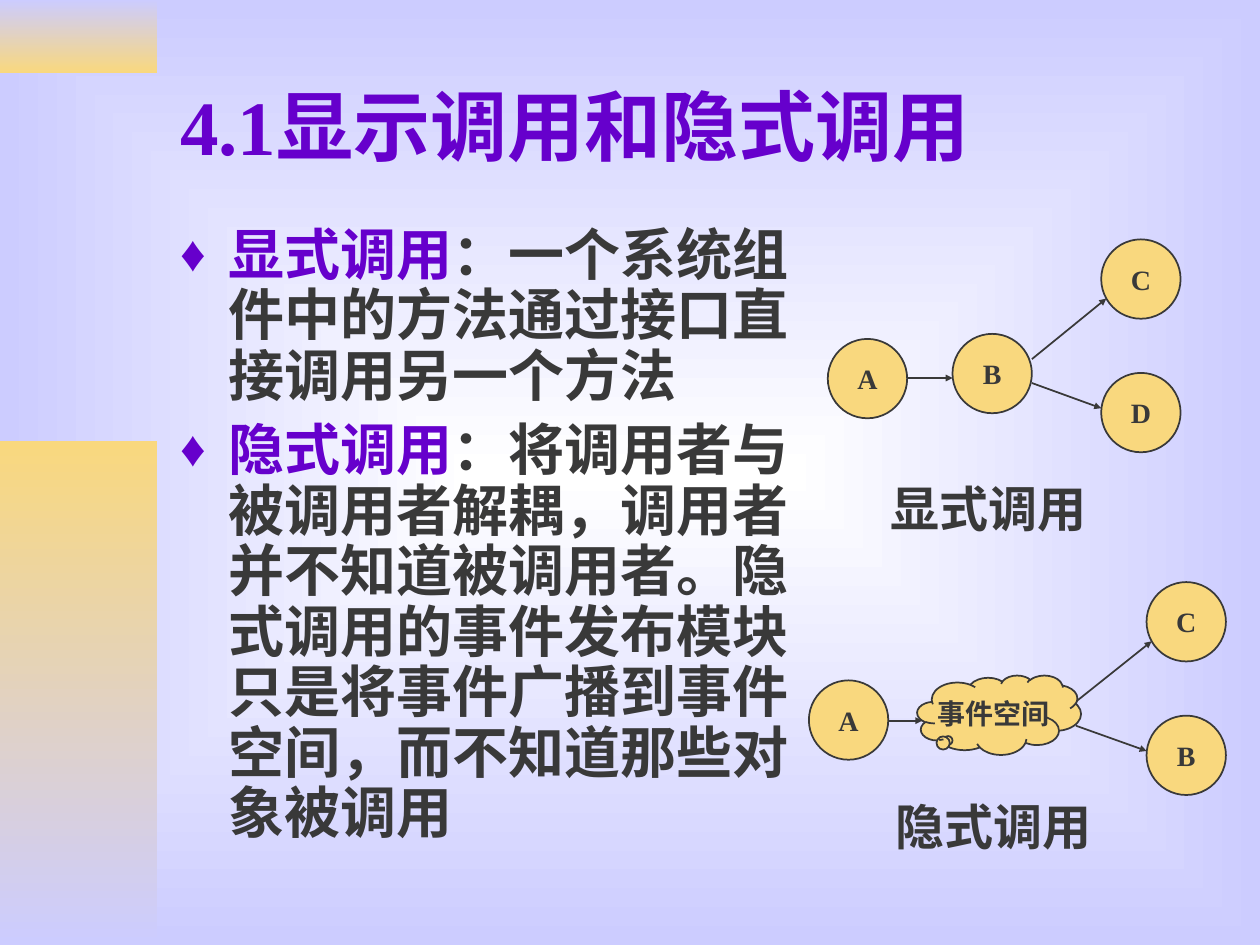
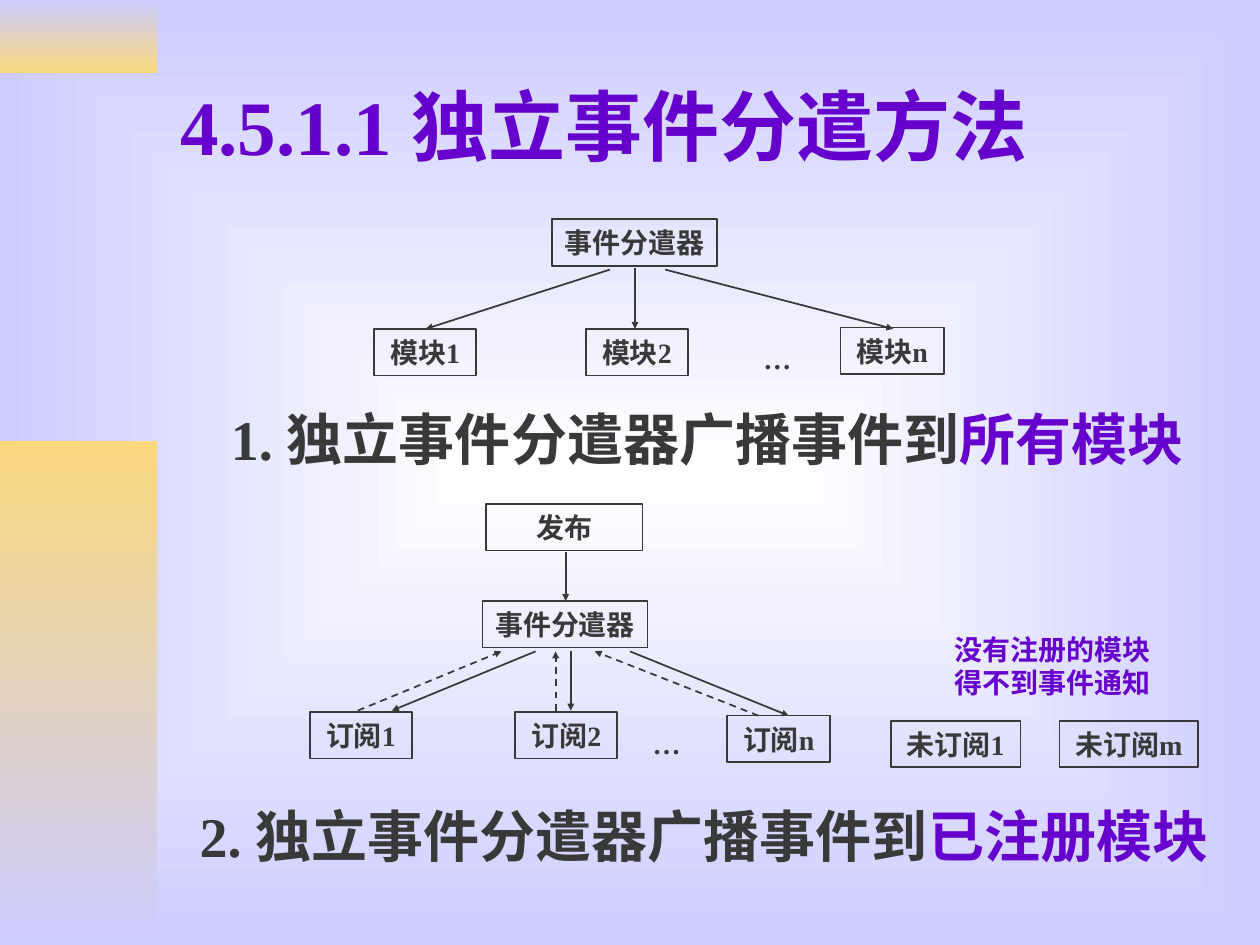
"""Build two slides on explicit, implicit and dispatched event calls."""
from typing import NamedTuple

from lxml import etree
from pptx import Presentation
from pptx.dml.color import RGBColor
from pptx.enum.dml import MSO_LINE
from pptx.enum.lang import MSO_LANGUAGE_ID
from pptx.enum.shapes import MSO_CONNECTOR, MSO_SHAPE
from pptx.enum.text import MSO_ANCHOR, MSO_AUTO_SIZE, PP_ALIGN
from pptx.oxml.ns import qn
from pptx.util import Inches, Pt

RECT, OVAL, CLOUD = MSO_SHAPE.RECTANGLE, MSO_SHAPE.OVAL, MSO_SHAPE.CLOUD_CALLOUT
LEFT, CENTER = PP_ALIGN.LEFT, PP_ALIGN.CENTER
TOP, MIDDLE = MSO_ANCHOR.TOP, MSO_ANCHOR.MIDDLE
STRAIGHT, DASH = MSO_CONNECTOR.STRAIGHT, MSO_LINE.DASH
FIXED, CHINESE = MSO_AUTO_SIZE.NONE, MSO_LANGUAGE_ID.SIMPLIFIED_CHINESE
FONT = "Times New Roman"
COLORS = {"ink": "393939", "key": "6600CC", "gold": "F9D87E", "pale": "CCCCFF", "white": "FFFFFF"}
DISC, ROW = 0.63, 0.37


class Box(NamedTuple):
    left: float
    top: float
    width: float
    height: float


class Part(NamedTuple):
    text: str
    color: str = "ink"


class Node(NamedTuple):
    text: str
    box: Box
    kind: int = RECT
    fill: str = ""


class Note(NamedTuple):
    lines: tuple[str, ...]
    box: Box
    size: int = 16
    color: str = "ink"
    align: int = CENTER


class Arrow(NamedTuple):
    start: tuple[float, float]
    end: tuple[float, float]
    dashed: bool = False


class Band(NamedTuple):
    box: Box
    upper: str
    lower: str


BANDS = (Band(Box(0, 0, 1.25, 0.58), "pale", "gold"), Band(Box(0, 3.5, 1.25, 4), "gold", "pale"))


def rgb(name: str) -> RGBColor:
    """Look up a named colour."""
    return RGBColor.from_string(COLORS[name])


def area(box: Box) -> list:
    """Give a box in slide units."""
    return [Inches(side) for side in box]


def place(shape, box: Box) -> None:
    """Move a shape to a box."""
    shape.left, shape.top, shape.width, shape.height = area(box)


def frame(shape, wrap: bool, anchor=TOP):
    """Set up the text frame of a shape."""
    text = shape.text_frame
    text.auto_size, text.word_wrap, text.vertical_anchor = FIXED, wrap, anchor
    text.margin_left = text.margin_right = Inches(0.1)
    text.margin_top = text.margin_bottom = Inches(0.05)
    return text


def write(par, parts: list[Part], size: int, align=LEFT, before: float = 0) -> None:
    """Write coloured parts into a paragraph."""
    par.alignment, par.space_before = align, Pt(before)
    for part in parts:
        run = par.add_run()
        run.text = part.text
        font = run.font
        font.name, font.size, font.bold = FONT, Pt(size), True
        font.color.rgb, font.language_id = rgb(part.color), CHINESE


def blend(fill, first: str, last: str) -> None:
    """Fill with a gradient between two colours."""
    fill.gradient()
    for stop, name in zip(fill.gradient_stops, (first, last)):
        stop.color.rgb = rgb(name)
    for stop, spot in zip(fill.gradient_stops, (0, 1)):
        stop.position = spot


def glow(master) -> None:
    """Give the master a glow from its centre."""
    blend(master.background.fill, "white", "pale")
    grad = master.element.find(".//" + qn("a:gradFill"))
    grad.remove(grad.find(qn("a:lin")))
    route = etree.SubElement(grad, qn("a:path"), path="rect")
    etree.SubElement(route, qn("a:fillToRect"), l="50000", t="50000", r="50000", b="50000")


def add_bands(slide) -> None:
    """Put the side bands on the layout of a slide."""
    tree = slide.slide_layout.shapes.element
    for count, band in enumerate(BANDS):
        shape = slide.shapes.add_shape(RECT, *area(band.box))
        shape.shadow.inherit = False
        shape.line.fill.background()
        blend(shape.fill, band.upper, band.lower)
        shape.fill.gradient_angle = 270
        shape.element.find(".//" + qn("p:cNvPr")).set("id", str(20 + count))
        tree.insert(2 + count, shape.element)


def add_page(deck, title: str):
    """Add a titled slide."""
    slide = deck.slides.add_slide(deck.slide_layouts[1])
    place(slide.shapes.title, Box(1.33, 0.33, 8.5, 1.32))
    text = frame(slide.shapes.title, True, MIDDLE)
    write(text.paragraphs[0], [Part(title, "key")], 44)
    return slide


def add_node(slide, node: Node) -> None:
    """Draw a labelled shape."""
    shape = slide.shapes.add_shape(node.kind, *area(node.box))
    shape.shadow.inherit = False
    shape.line.color.rgb, shape.line.width = rgb("ink"), Pt(1)
    if node.fill:
        shape.fill.solid()
        shape.fill.fore_color.rgb = rgb(node.fill)
    else:
        shape.fill.background()
    if node.kind == CLOUD:
        shape.adjustments[0], shape.adjustments[1] = -0.305, 0.315
    text = frame(shape, False, MIDDLE)
    write(text.paragraphs[0], [Part(node.text)], 16, CENTER)


def add_note(slide, note: Note) -> None:
    """Draw plain text lines."""
    text = frame(slide.shapes.add_textbox(*area(note.box)), note.align == LEFT)
    for count, line in enumerate(note.lines):
        par = text.add_paragraph() if count else text.paragraphs[0]
        write(par, [Part(line, note.color)], note.size, note.align)


def add_arrow(slide, arrow: Arrow) -> None:
    """Draw a line with a small head."""
    ends = [Inches(spot) for spot in arrow.start + arrow.end]
    link = slide.shapes.add_connector(STRAIGHT, *ends)
    link.line.color.rgb, link.line.width = rgb("ink"), Pt(1)
    if arrow.dashed:
        link.line.dash_style = DASH
    props = link.element.find(qn("p:spPr"))
    etree.SubElement(props.find(qn("a:ln")), qn("a:tailEnd"), type="triangle", w="sm", len="sm")
    etree.SubElement(props, qn("a:effectLst"))


def add_all(slide, nodes: list[Node], arrows: list[Arrow], notes: list[Note]) -> None:
    """Draw the parts of a diagram."""
    for node in nodes:
        add_node(slide, node)
    for arrow in arrows:
        add_arrow(slide, arrow)
    for note in notes:
        add_note(slide, note)


def set_list(par, bullet: str = "") -> None:
    """Set the bullet and indent of a paragraph."""
    props = par._p.get_or_add_pPr()
    indent = Inches(0.38) if bullet else 0
    props.set("marL", str(indent))
    props.set("indent", str(-indent))
    if bullet:
        color = etree.SubElement(props, qn("a:buClr"))
        etree.SubElement(color, qn("a:srgbClr"), val=COLORS["key"])
        etree.SubElement(props, qn("a:buSzPct"), val="90000")
        etree.SubElement(props, qn("a:buChar"), char=bullet)
    else:
        etree.SubElement(props, qn("a:buNone"))


def add_head(shape, box: Box, parts: list[Part]) -> None:
    """Write a centred summary line."""
    place(shape, box)
    par = frame(shape, True).paragraphs[0]
    set_list(par)
    write(par, parts, 32, CENTER)


def disc(text: str, left: float, top: float) -> Node:
    """Describe a gold circle."""
    return Node(text, Box(left, top, DISC, DISC), OVAL, "gold")


def call_page(deck):
    """Build the slide on explicit and implicit calls."""
    slide = add_page(deck, "4.1显示调用和隐式调用")
    body = slide.placeholders[1]
    place(body, Box(1.33, 1.75, 5.24, 5.35))
    text = frame(body, True)
    items = (
        ("显式调用", "：一个系统组件中的方法通过接口直接调用另一个方法"),
        ("隐式调用", "：将调用者与被调用者解耦，调用者并不知道被调用者。隐式调用的事件发布模块"
                 "只是将事件广播到事件空间，而不知道那些对象被调用"),
    )
    for count, (term, sense) in enumerate(items):
        par = text.add_paragraph() if count else text.paragraphs[0]
        par.line_spacing = 0.9
        set_list(par, "♦")
        write(par, [Part(term, "key"), Part(sense)], 32, before=8 * count)
    nodes = [
        disc("A", 6.57, 2.69), disc("B", 7.56, 2.65), disc("C", 8.74, 1.9), disc("D", 8.74, 2.96),
        disc("A", 6.42, 5.4), disc("C", 9.1, 4.62), disc("B", 9.1, 5.68),
        Node("事件空间", Box(7.28, 5.36, 1.3, DISC), CLOUD, "gold"),
    ]
    arrows = [
        Arrow((7.2, 3), (7.56, 3)), Arrow((8.19, 2.85), (8.78, 2.37)),
        Arrow((8.19, 3.04), (8.74, 3.24)), Arrow((7.05, 5.72), (7.32, 5.72)),
        Arrow((8.55, 5.56), (9.14, 5.09)), Arrow((8.54, 5.76), (9.1, 5.96)),
    ]
    notes = [
        Note(("显式调用",), Box(6.97, 3.75, 2.05, 0.57), 28, align=LEFT),
        Note(("隐式调用",), Box(7.01, 6.27, 2.05, 0.57), 28, align=LEFT),
    ]
    add_all(slide, nodes, arrows, notes)
    return slide


def event_page(deck) -> None:
    """Build the slide on the event dispatcher."""
    slide = add_page(deck, "4.5.1.1 独立事件分遣方法")
    lead = "独立事件分遣器广播事件到"
    add_head(slide.placeholders[1], Box(1.5, 3.16, 8.23, 0.66),
             [Part("1. " + lead), Part("所有模块", "key")])
    low = Box(1.34, 6.31, 8.5, 0.66)
    add_head(slide.shapes.add_textbox(*area(low)), low,
             [Part("2. " + lead), Part("已注册模块", "key")])
    labels = (
        ("事件分遣器", 4.38, 1.74, 1.31), ("模块1", 2.97, 2.61, 0.81), ("模块2", 4.65, 2.61, 0.81),
        ("模块n", 6.67, 2.6, 0.82), ("发布", 3.86, 4, 1.24), ("事件分遣器", 3.83, 4.77, 1.31),
        ("订阅1", 2.46, 5.65, 0.81), ("订阅2", 4.09, 5.65, 0.81), ("订阅n", 5.77, 5.68, 0.82),
        ("未订阅1", 7.07, 5.72, 1.03), ("未订阅m", 8.41, 5.72, 1.1),
    )
    nodes = [Node(text, Box(left, top, width, ROW)) for text, left, top, width in labels]
    arrows = [
        Arrow((4.84, 2.14), (3.38, 2.61)), Arrow((5.04, 2.13), (5.04, 2.61)),
        Arrow((5.28, 2.14), (7.09, 2.61)), Arrow((4.49, 4.38), (4.49, 4.77)),
        Arrow((2.84, 5.64), (3.98, 5.17), True), Arrow((4.25, 5.17), (3.11, 5.64)),
        Arrow((4.41, 5.64), (4.41, 5.17), True), Arrow((4.53, 5.17), (4.53, 5.64)),
        Arrow((6.02, 5.68), (4.72, 5.17), True), Arrow((5, 5.17), (6.26, 5.68)),
    ]
    notes = [Note(("…",), Box(left, top, 0.42, ROW)) for left, top in ((5.96, 2.66), (5.08, 5.72))]
    notes.append(Note(("没有注册的模块", "得不到事件通知"), Box(7.48, 4.97, 1.75, 0.64), color="key"))
    add_all(slide, nodes, arrows, notes)


def main() -> None:
    """Build and save the deck."""
    deck = Presentation()
    deck.slide_width, deck.slide_height = Inches(10), Inches(7.5)
    glow(deck.slide_master)
    add_bands(call_page(deck))
    event_page(deck)
    deck.save("out.pptx")


if __name__ == "__main__":
    main()
